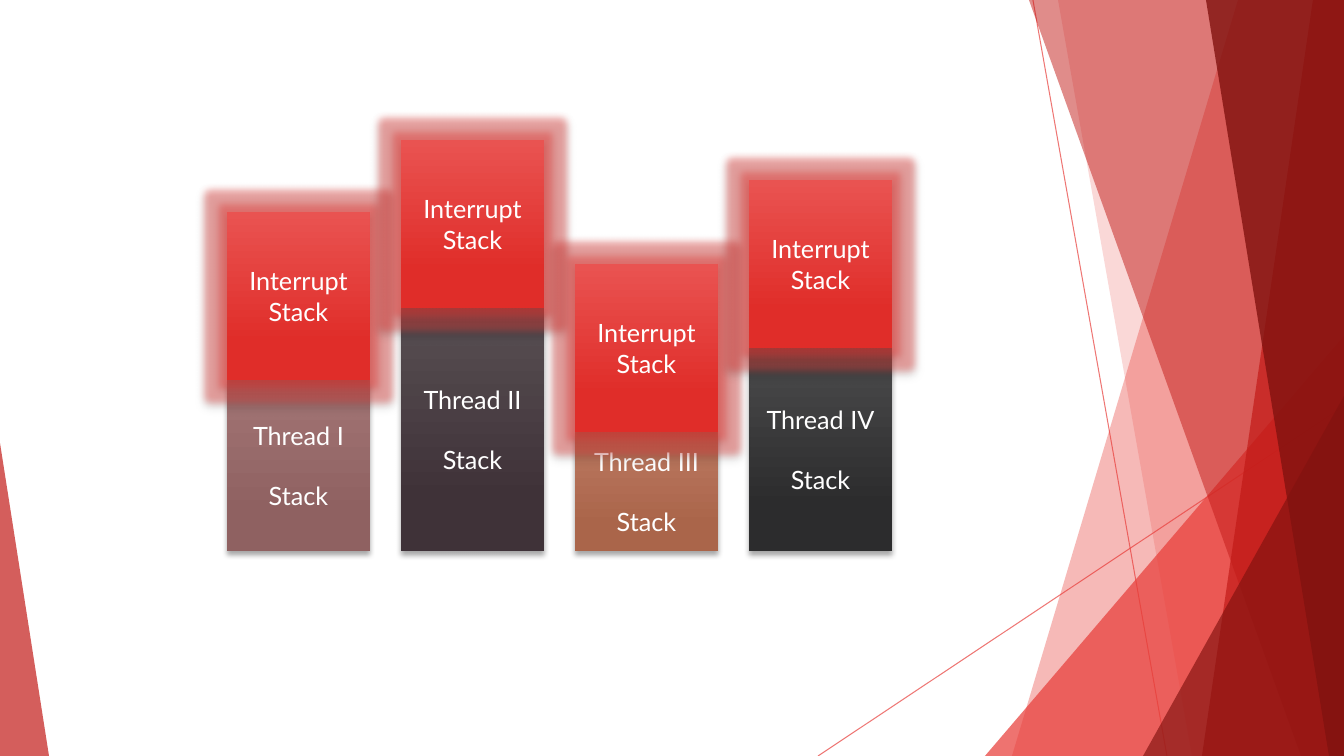
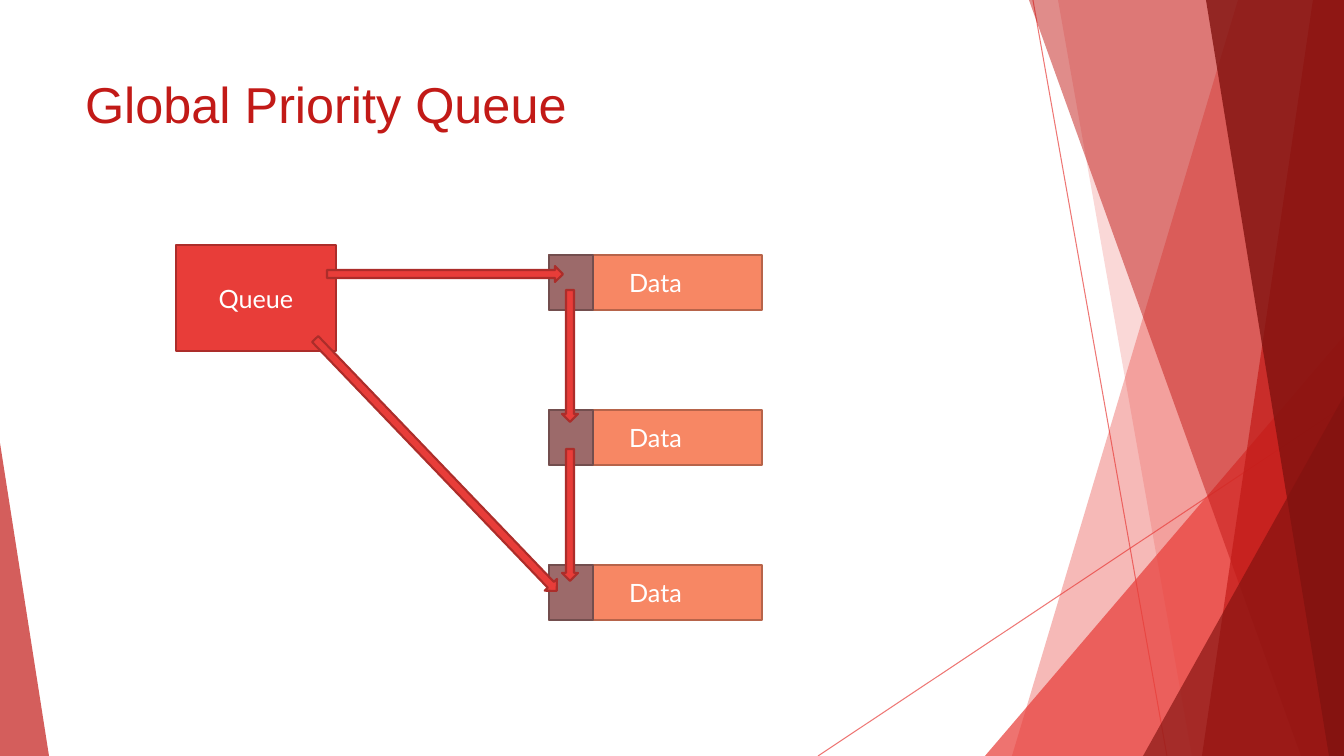
import lxml.etree
import pptx
import pptx.dml.color
import pptx.enum.shapes
import pptx.enum.text
import pptx.oxml.ns
import pptx.util

WIDTH, HEIGHT = 1344, 756
SCALE = 12192000 / WIDTH  # EMU per px
TITLE_ONLY, BLANK = 5, 6

RED, CRIMSON, MAROON = "E83D39", "C21A17", "81120F"
RED_EDGE = "AC2D2A"
ORANGE, ORANGE_EDGE = "F78764", "B7644A"
MAUVE, MAUVE_EDGE = "9C6A6A", "734E4E"
INTERRUPT_GRADIENT = ("E95351", "E02D29")

SHAPES = pptx.enum.shapes.MSO_SHAPE
ALIGN = pptx.enum.text.PP_ALIGN
ANCHOR = pptx.enum.text.MSO_ANCHOR
qn = pptx.oxml.ns.qn


def emu(px):
    return pptx.util.Emu(round(px * SCALE))


def color(hex_string):
    return pptx.dml.color.RGBColor.from_string(hex_string)


def apply(target, values):
    for name, value in values.items():
        setattr(target, name, value)


def set_opacity(shape, percent):
    for paint in shape.element.spPr.iter(qn("a:srgbClr")):
        lxml.etree.SubElement(paint, qn("a:alpha"), val=str(percent * 1000))


class Deck:
    """Holds the shared style and the slide being built."""

    LABEL = {"size": pptx.util.Pt(18), "name": "Lato"}
    TITLE = {"size": pptx.util.Pt(36), "name": "Arial"}
    TITLE_BOX = {"left": emu(75), "top": emu(68), "width": emu(948), "height": emu(145)}
    TITLE_FRAME = {"vertical_anchor": ANCHOR.TOP, "word_wrap": True,
                   "auto_size": pptx.enum.text.MSO_AUTO_SIZE.NONE}
    LABEL_FRAME = {"vertical_anchor": ANCHOR.MIDDLE, "word_wrap": True}

    def __init__(self):
        self.show = pptx.Presentation()
        apply(self.show, {"slide_width": emu(WIDTH), "slide_height": emu(HEIGHT)})
        self.slide = None

    def new_slide(self, title=None):
        layout = self.show.slide_layouts[TITLE_ONLY if title else BLANK]
        self.slide = self.show.slides.add_slide(layout)
        if title:
            heading = self.slide.shapes.title
            apply(heading, self.TITLE_BOX)
            apply(heading.text_frame, self.TITLE_FRAME)
            self.add_lines(heading, [title], self.TITLE, CRIMSON, ALIGN.LEFT)

    def add_lines(self, shape, lines, style, ink, alignment):
        """Puts each line in its own paragraph, one blank line's height apart."""
        frame = shape.text_frame
        for index, line in enumerate(lines):
            paragraph = frame.add_paragraph() if index else frame.paragraphs[0]
            paragraph.alignment = alignment
            if index:
                paragraph.space_before = pptx.util.Pt(21.6)
            run = paragraph.add_run()
            run.text = line
            apply(run.font, style)
            run.font.color.rgb = color(ink)

    def paint(self, shape, fill, edge=None, opacity=None):
        shape.shadow.inherit = False
        shape.fill.solid()
        shape.fill.fore_color.rgb = color(fill)
        if edge:
            shape.line.color.rgb = color(edge)
            shape.line.width = pptx.util.Pt(1.5)
        else:
            shape.line.fill.background()
        if opacity:
            set_opacity(shape, opacity)

    def preset(self, kind, left, top, width, height):
        return self.slide.shapes.add_shape(
            kind, emu(left), emu(top), emu(width), emu(height))

    def box(self, left, top, width, height, fill, edge=None, lines=()):
        box = self.preset(SHAPES.RECTANGLE, left, top, width, height)
        self.paint(box, fill, edge)
        apply(box.text_frame, self.LABEL_FRAME)
        self.add_lines(box, lines, self.LABEL, "FFFFFF", ALIGN.CENTER)
        return box

    def stack_block(self, left, top, width, height, gradient, lines, glow=False):
        block = self.box(left, top, width, height, gradient[0], lines=lines)
        block.fill.gradient()
        block.fill.gradient_angle = 270
        for stop, position, tint in zip(block.fill.gradient_stops, (0, 0.78), gradient):
            stop.position = position
            stop.color.rgb = color(tint)
        if glow:
            self.effect(block, "a:glow", RED, 40, rad=pptx.util.Pt(11))
        self.effect(block, "a:outerShdw", "000000", 35, blurRad=pptx.util.Pt(4),
                    dist=pptx.util.Pt(3), dir=90 * 60000, rotWithShape=0)

    def effect(self, shape, tag, tint, opacity, **settings):
        effects = shape.element.spPr.find(qn("a:effectLst"))
        effect = lxml.etree.SubElement(effects, qn(tag))
        for name, value in settings.items():
            effect.set(name, str(int(value)))
        paint = lxml.etree.SubElement(effect, qn("a:srgbClr"), val=tint)
        lxml.etree.SubElement(paint, qn("a:alpha"), val=str(opacity * 1000))

    def arrow(self, center_x, center_y, length, rotation=0, width=16):
        """Draws a block arrow that points down before it is rotated."""
        arrow = self.preset(SHAPES.DOWN_ARROW, center_x - width / 2,
                            center_y - length / 2, width, length)
        arrow.rotation = rotation
        self.paint(arrow, RED, RED_EDGE)

    def ray(self, x1, y1, x2, y2):
        ray = self.slide.shapes.add_connector(
            pptx.enum.shapes.MSO_CONNECTOR.STRAIGHT, emu(x1), emu(y1), emu(x2), emu(y2))
        ray.line.color.rgb = color(RED)
        ray.line.width = pptx.util.Pt(0.75)
        set_opacity(ray, 70)
        lxml.etree.SubElement(ray.element.spPr, qn("a:effectLst"))

    def panel(self, top_x, bottom_x, fill, opacity):
        """Draws a full-height band from a slanted left edge to the slide's right."""
        outline = self.slide.shapes.build_freeform(top_x, 0, scale=SCALE)
        outline.add_line_segments([(WIDTH, 0), (WIDTH, HEIGHT), (bottom_x, HEIGHT)])
        self.paint(outline.convert_to_shape(), fill, opacity=opacity)

    def wedge(self, left, top, width, apex, fill, opacity):
        wedge = self.preset(SHAPES.ISOSCELES_TRIANGLE, left, top, width, HEIGHT - top)
        wedge.adjustments[0] = apex
        self.paint(wedge, fill, opacity=opacity)

    def decorate_master(self):
        """Draws the facets on the current empty slide, then moves them to the master."""
        self.ray(1033, 0, 1167, HEIGHT)
        self.ray(WIDTH, 406, 818, HEIGHT)
        self.panel(1238, 1012, RED, 36)
        self.panel(1058, 1192, RED, 20)
        self.wedge(985, 336, 359, 1, RED, 72)
        self.panel(1029, 1301, CRIMSON, 50)
        self.panel(1313, 1202, CRIMSON, 70)
        self.panel(1206, 1329, MAROON, 80)
        self.wedge(1143, 396, 201, 1, MAROON, 66)
        self.wedge(0, 443, 49, 0, CRIMSON, 70)
        master = self.show.slide_master.shapes.element
        for number, facet in enumerate(list(self.slide.shapes), start=100):
            next(facet.element.iter(qn("p:cNvPr"))).set("id", str(number))
            master.append(facet.element)


def build_thread_stacks(deck):
    left, step, width, base, interrupt_height = 227, 174, 143, 551, 168
    threads = [
        ("Thread I", 380, ("A27575", "8F6161")),
        ("Thread II", 308, ("584F53", "3F3238")),
        ("Thread III", 432, ("BC7962", "AA654A")),
        ("Thread IV", 348, ("4B4B4C", "2C2C2D")),
    ]
    for column, (thread, top, gradient) in enumerate(threads):
        deck.stack_block(left + column * step, top, width, base - top,
                         gradient, [thread, "Stack"])
    for column, (_, top, _) in enumerate(threads):
        deck.stack_block(left + column * step, top - interrupt_height, width,
                         interrupt_height, INTERRUPT_GRADIENT,
                         ["Interrupt Stack"], glow=True)


def build_priority_queue(deck):
    deck.new_slide("Global Priority Queue")
    deck.box(176, 245, 160, 106, RED, RED_EDGE, ["Queue"])
    for row in range(3):
        top = 255 + row * 155
        deck.box(549, top, 213, 55, ORANGE, ORANGE_EDGE, ["Data"])
        deck.box(549, top, 44, 55, MAUVE, MAUVE_EDGE)
    for center_y in (356, 515):
        deck.arrow(570, center_y, 132)
    deck.arrow(445, 274, 236, rotation=270)
    deck.arrow(436, 465, 349, rotation=316.2, width=17)


def main():
    deck = Deck()
    deck.new_slide()
    deck.decorate_master()
    build_thread_stacks(deck)
    build_priority_queue(deck)
    deck.show.save("out.pptx")


if __name__ == "__main__":
    main()
